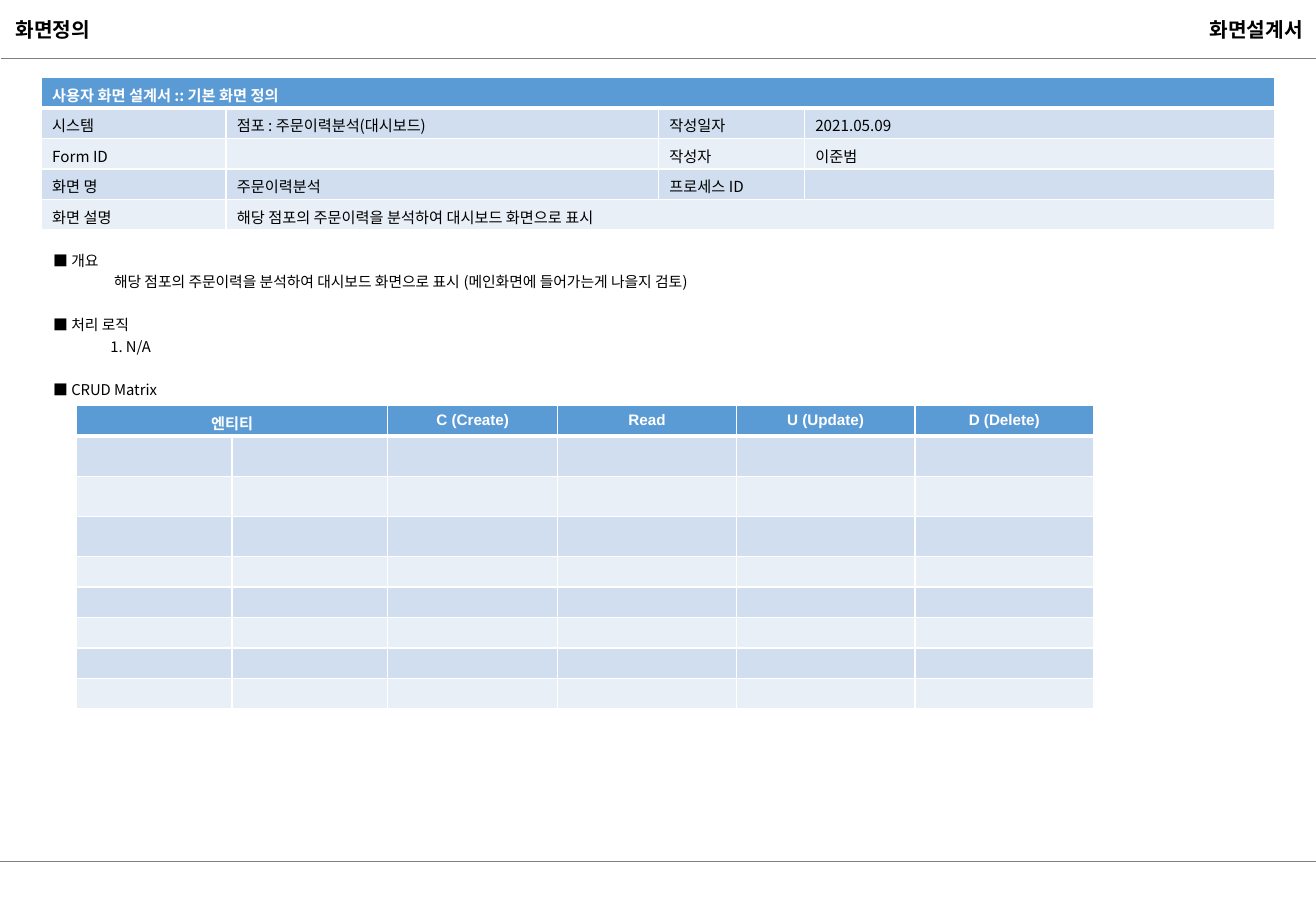
"""Build the screen definition page of a screen design document."""
from dataclasses import dataclass

from lxml import etree
from pptx import Presentation
from pptx import util as u
from pptx.dml.color import RGBColor
from pptx.enum import shapes, text
from pptx.oxml.ns import qn

TITLES = [
    ("화면정의", 0.03, 0.9, text.PP_ALIGN.LEFT),
    ("화면설계서", 7.75, 3.07, text.PP_ALIGN.RIGHT),
]
RULES = [(0, 7.09), (0.01, 0.48)]
INFO = [
    ["사용자 화면 설계서 :: 기본 화면 정의", "", "", ""],
    ["시스템", "점포 : 주문이력분석(대시보드)", "작성일자", "2021.05.09"],
    ["Form ID", "", "작성자", "이준범"],
    ["화면 명", "주문이력분석", "프로세스 ID", ""],
    ["화면 설명", "해당 점포의 주문이력을 분석하여 대시보드 화면으로 표시", "", ""],
]
INFO_COLUMNS = [1.52, 3.56, 1.2, 3.87]
INFO_MERGES = [(0, 0, 3), (4, 1, 3)]
SECTIONS = [
    ("■ 개요", "해당 점포의 주문이력을 분석하여 대시보드 화면으로 표시 (메인화면에 들어가는게 나을지 검토)", 0.5),
    ("■ 처리 로직", "1. N/A", 0.47),
    ("■ CRUD Matrix", "", 0),
]
MATRIX_HEADER = ["엔티티", "", "C (Create)", "Read", "U (Update)", "D (Delete)"]
MATRIX_COLUMNS = [1.28, 1.28, 1.4, 1.47, 1.47, 1.47]
MATRIX_ROWS = [0.25] + [0.33] * 3 + [0.25] * 5
MATRIX = [MATRIX_HEADER] + [[""] * 6 for _ in MATRIX_ROWS[1:]]


@dataclass(frozen=True)
class Theme:
    korean: str = "Noto Sans CJK KR"
    latin: str = "Arial"
    ink: str = "000000"
    white: str = "FFFFFF"
    rule: str = "7F7F7F"
    header: str = "5B9BD5"
    bands: tuple = ("E9EFF7", "D0DEEF")
    title: float = 12
    cell: float = 9
    body: float = 8.8
    spacing: float = 1.21
    section_gap: float = 12.7


THEME = Theme()


def write(para, words, size, color=THEME.ink, bold=False, font=THEME.korean,
          align=text.PP_ALIGN.LEFT):
    """Put formatted words into a paragraph."""
    para.alignment = align
    if not words:
        mark = etree.SubElement(para._p, qn("a:endParaRPr"))
        mark.set("sz", str(int(size * 100)))
        etree.SubElement(mark, qn("a:latin")).set("typeface", font)
        return
    span = para.add_run()
    span.text = words
    span.font.size = u.Pt(size)
    span.font.bold = bold
    span.font.name = font
    span.font.color.rgb = RGBColor.from_string(color)
    east = etree.Element(qn("a:ea"))
    east.set("typeface", THEME.korean)
    span._r.rPr.find(qn("a:latin")).addnext(east)


def add_box(page, left, top, width, height):
    """Add a wrapping text box and return its frame."""
    box = page.shapes.add_textbox(*map(u.Inches, (left, top, width, height)))
    box.text_frame.word_wrap = True
    return box.text_frame


def add_rule(page, left, top):
    """Draw a thin line to the right edge."""
    line = page.shapes.add_connector(
        shapes.MSO_CONNECTOR.STRAIGHT,
        *map(u.Inches, (left, top, 10.83, top)))
    line.line.color.rgb = RGBColor.from_string(THEME.rule)
    line.line.width = u.Pt(0.75)
    etree.SubElement(line._element.spPr, qn("a:effectLst"))


def set_borders(cell, bottom):
    """Give a cell white borders with its own bottom width."""
    props = cell._tc.get_or_add_tcPr()
    for side, width in (("L", 1), ("R", 1), ("T", 1), ("B", bottom)):
        edge = etree.SubElement(props, qn(f"a:ln{side}"), w=str(u.Pt(width)))
        fill = etree.SubElement(edge, qn("a:solidFill"))
        etree.SubElement(fill, qn("a:srgbClr")).set("val", THEME.white)


def add_grid(page, left, top, rows, widths, heights, merges, inset,
             header_font=THEME.korean, header_align=text.PP_ALIGN.LEFT):
    """Add a banded table under a coloured header row."""
    frame = page.shapes.add_table(
        len(rows), len(widths),
        *map(u.Inches, (left, top, sum(widths), sum(heights))))
    table = frame.table
    for column, width in zip(table.columns, widths):
        column.width = u.Inches(width)
    for r, (row, height) in enumerate(zip(rows, heights)):
        table.rows[r].height = u.Inches(height)
        head = r == 0
        for c, words in enumerate(row):
            cell = table.cell(r, c)
            cell.margin_left = cell.margin_right = u.Inches(inset)
            set_borders(cell, 3 if head else 1)
            cell.fill.solid()
            cell.fill.fore_color.rgb = RGBColor.from_string(
                THEME.header if head else THEME.bands[r % 2])
            write(cell.text_frame.paragraphs[0], words, THEME.cell, bold=head,
                  color=THEME.white if head else THEME.ink,
                  font=header_font if head else THEME.korean,
                  align=header_align if head else text.PP_ALIGN.LEFT)
    for r, first, last in merges:
        table.cell(r, first).merge(table.cell(r, last))


def add_sections(page):
    """Write the section headings with their indented details."""
    frame = add_box(page, 0.34, 1.99, 10.16, 1.32)
    lines = []
    for i, (heading, detail, indent) in enumerate(SECTIONS):
        lines.append((heading, 0, THEME.section_gap if i else 0))
        if detail:
            lines.append((detail, indent, 0))
    for i, (words, indent, gap) in enumerate(lines):
        para = frame.add_paragraph() if i else frame.paragraphs[0]
        para.line_spacing = THEME.spacing
        para.space_before = u.Pt(gap)
        write(para, words, THEME.body)
        if indent:
            para.level = 1
            props = para._p.get_or_add_pPr()
            props.set("marL", str(u.Inches(indent)))
            props.set("indent", "0")


def main():
    """Assemble and save the deck."""
    deck = Presentation()
    deck.slide_width, deck.slide_height = u.Inches(10.83), u.Inches(7.5)
    page = deck.slides.add_slide(deck.slide_layouts[6])
    for left, top in RULES:
        add_rule(page, left, top)
    for words, left, width, align in TITLES:
        frame = add_box(page, left, 0.09, width, 0.3)
        write(frame.paragraphs[0], words, THEME.title, bold=True, align=align)
    add_grid(page, 0.34, 0.64, INFO, INFO_COLUMNS, [0.24] * len(INFO),
             INFO_MERGES, 0.09)
    add_sections(page)
    add_grid(page, 0.63, 3.34, MATRIX, MATRIX_COLUMNS, MATRIX_ROWS,
             [(0, 0, 1)], 0.1, THEME.latin, text.PP_ALIGN.CENTER)
    deck.save("out.pptx")


if __name__ == "__main__":
    main()
